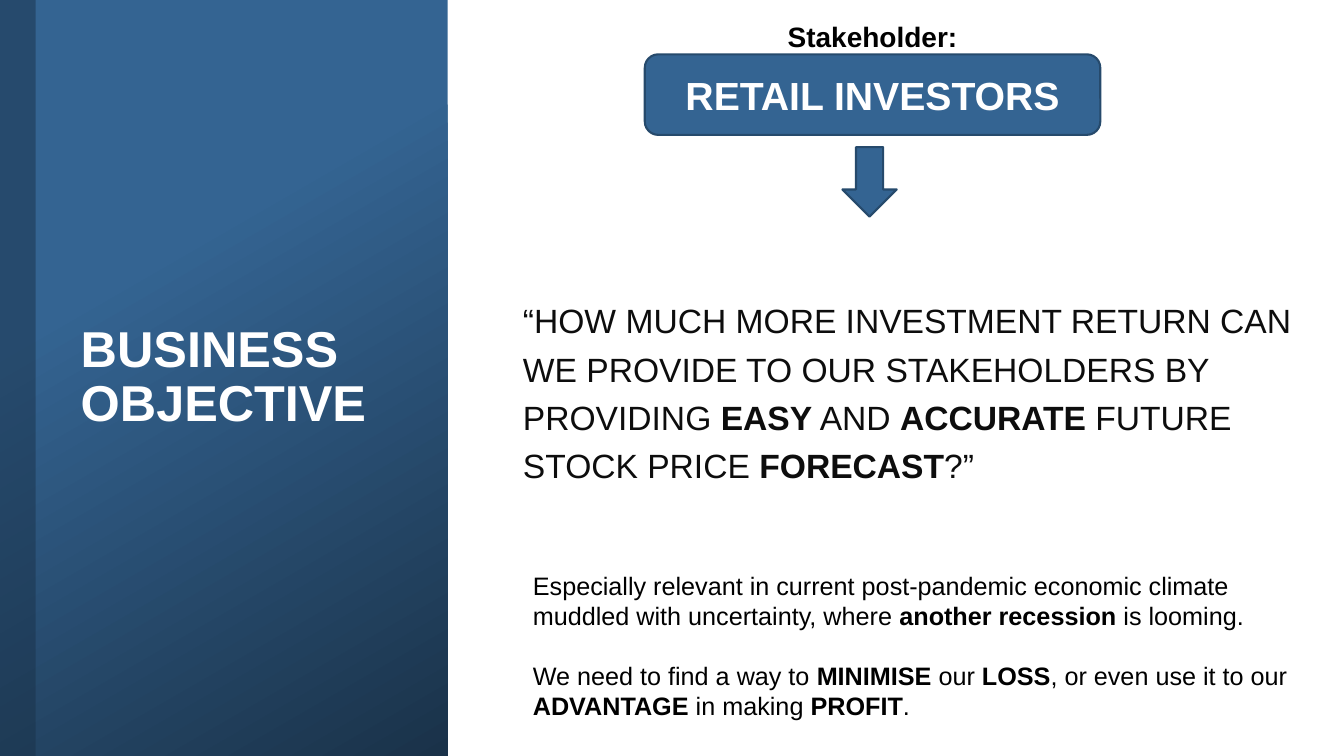
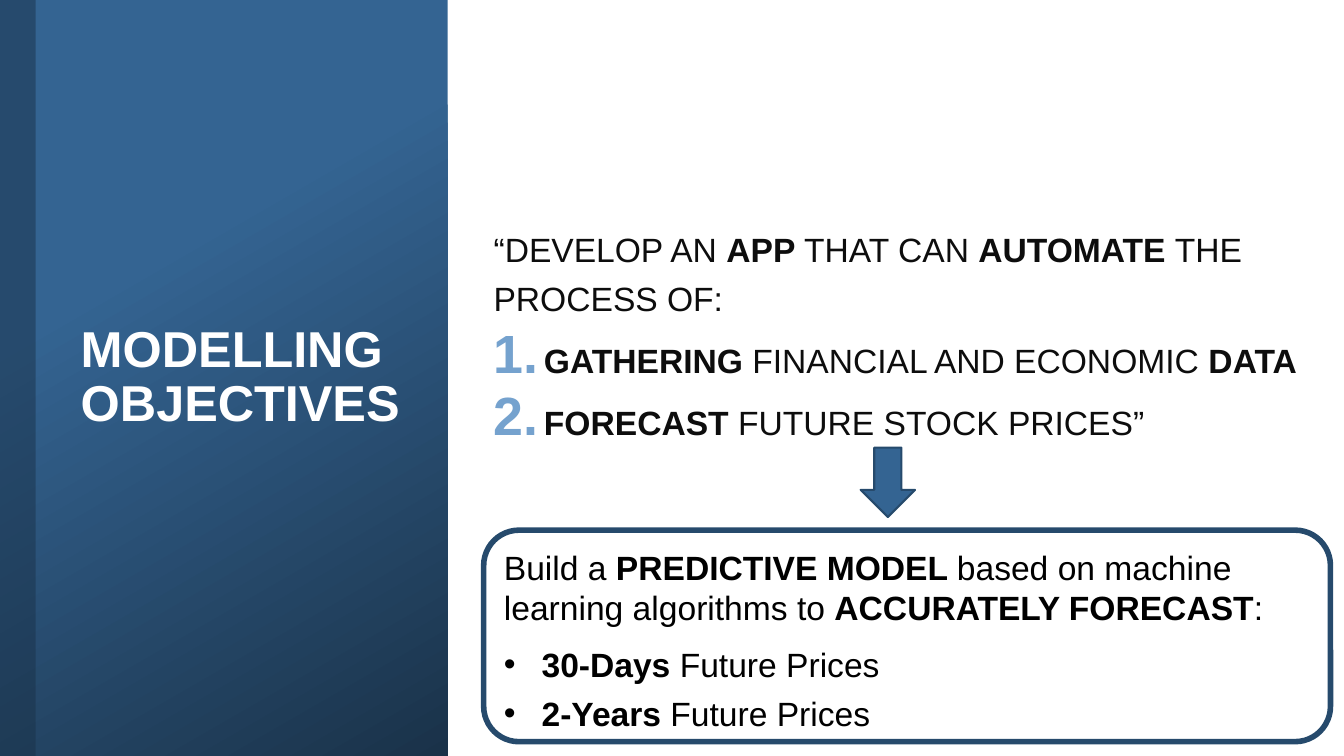
from collections import namedtuple

from lxml import etree
from pptx import Presentation
from pptx.dml import color
from pptx.enum import shapes, text
from pptx.oxml import ns
from pptx.util import Cm, Pt

Box = namedtuple("Box", "left top width height")

FONT = "Arial"
BLUE = "346492"
NAVY = "1A3249"
OUTLINE = "264A6C"
NUMBER_BLUE = "75A2CE"
WHITE = "FFFFFF"
BLACK = "000000"
QUOTE_INK = "0D0D0D"

PAGE = Box(0, 0, 33.87, 19.05)
PANEL = Box(0, 0, 11.28, PAGE.height)
ARROW_WIDTH, ARROW_HEIGHT = 1.37, 1.75


def rgb(value):
    return color.RGBColor.from_string(value)


def lengths(box):
    return [Cm(value) for value in box]


def add_child(parent, tag, **attributes):
    return etree.SubElement(parent, ns.qn(tag), attributes)


def add_preset(slide, kind, box, fill=None, line=None, line_width=1.5):
    shape = slide.shapes.add_shape(kind, *lengths(box))
    shape.shadow.inherit = False
    if fill:
        shape.fill.solid()
        shape.fill.fore_color.rgb = rgb(fill)
    else:
        shape.fill.background()
    if line:
        shape.line.color.rgb = rgb(line)
        shape.line.width = Pt(line_width)
    else:
        shape.line.fill.background()
    return shape


def add_text_box(slide, box, anchor=text.MSO_ANCHOR.TOP):
    frame = slide.shapes.add_textbox(*lengths(box)).text_frame
    frame.word_wrap = True
    frame.vertical_anchor = anchor
    return frame


def format_run(run, size, ink, bold):
    run.font.name = FONT
    run.font.size = Pt(size)
    run.font.bold = bold
    run.font.color.rgb = rgb(ink)


def write_paragraph(frame, content, size, ink, space_before=0, spacing=1.0,
                    align=text.PP_ALIGN.LEFT):
    paragraph = frame.paragraphs[0]
    if paragraph.runs:
        paragraph = frame.add_paragraph()
        paragraph.space_before = Pt(space_before)
    paragraph.alignment = align
    paragraph.line_spacing = spacing
    for index, part in enumerate(content.split("*")):
        if part:
            run = paragraph.add_run()
            run.text = part
            format_run(run, size, ink, bold=index % 2 == 1)
    return paragraph


def set_indent(paragraph, indent):
    properties = paragraph._p.get_or_add_pPr()
    properties.set("marL", str(Cm(indent)))
    properties.set("indent", str(-Cm(indent)))
    return properties


def add_number(paragraph):
    properties = set_indent(paragraph, 1.27)
    add_child(add_child(properties, "a:buClr"), "a:srgbClr", val=NUMBER_BLUE)
    add_child(properties, "a:buSzPct", val="160000")
    add_child(properties, "a:buFont", typeface="+mj-lt")
    add_child(properties, "a:buAutoNum", type="arabicPeriod")


def add_bullet(paragraph):
    properties = set_indent(paragraph, 0.95)
    add_child(properties, "a:buFont", typeface=FONT)
    add_child(properties, "a:buChar", char="•")


def add_title_panel(slide, box, title):
    panel = add_preset(slide, shapes.MSO_SHAPE.RECTANGLE, box)
    panel.fill.gradient()
    panel.fill.gradient_angle = 300
    for stop, position, shade in zip(panel.fill.gradient_stops, (0.34, 1), (BLUE, NAVY)):
        stop.position = position
        stop.color.rgb = rgb(shade)

    edge_box = Box(box.left, box.top, 0.9, box.height)
    edge = add_preset(slide, shapes.MSO_SHAPE.RECTANGLE, edge_box, NAVY)
    edge_color = edge.element.spPr.find(ns.qn("a:solidFill"))[0]
    add_child(edge_color, "a:alpha", val="50000")

    placeholder = slide.shapes.title
    placeholder.element.getparent().append(placeholder.element)
    title_box = Box(box.left + 1.78, box.top + 3.4, 8.84, box.height - 6.8)
    placeholder.left, placeholder.top, placeholder.width, placeholder.height = lengths(title_box)
    frame = placeholder.text_frame
    frame.text = title
    frame.word_wrap = True
    frame.auto_size = text.MSO_AUTO_SIZE.NONE
    frame.vertical_anchor = text.MSO_ANCHOR.MIDDLE
    paragraph = frame.paragraphs[0]
    paragraph.alignment = text.PP_ALIGN.LEFT
    paragraph.line_spacing = 0.9
    format_run(paragraph.runs[0], 36, WHITE, bold=True)


def add_down_arrow(slide, left, top):
    box = Box(left, top, ARROW_WIDTH, ARROW_HEIGHT)
    add_preset(slide, shapes.MSO_SHAPE.DOWN_ARROW, box, BLUE, OUTLINE)


def add_stakeholder(slide, box):
    label = add_text_box(slide, Box(box.left, box.top, box.width, 1.11))
    write_paragraph(label, "*Stakeholder:*", 20, BLACK, align=text.PP_ALIGN.CENTER)
    badge_box = Box(box.left, box.top + 1.01, box.width, box.height - 1.01)
    badge = add_preset(slide, shapes.MSO_SHAPE.ROUNDED_RECTANGLE, badge_box, BLUE, OUTLINE)
    badge.text_frame.vertical_anchor = text.MSO_ANCHOR.MIDDLE
    write_paragraph(badge.text_frame, "*RETAIL INVESTORS*", 28, WHITE,
                    align=text.PP_ALIGN.CENTER)


def add_quote(slide, box, lead, numbered=()):
    frame = add_text_box(slide, box, text.MSO_ANCHOR.MIDDLE)
    write_paragraph(frame, lead, 24, QUOTE_INK, spacing=1.2)
    for item in numbered:
        add_number(write_paragraph(frame, item, 24, QUOTE_INK, 10, 1.2))


def add_notes_text(slide, box, paragraphs):
    frame = add_text_box(slide, box)
    for content in paragraphs:
        write_paragraph(frame, content, 18, BLACK, space_before=21)


def add_model_box(slide, box, lead, bullets):
    shape = add_preset(slide, shapes.MSO_SHAPE.ROUNDED_RECTANGLE, box,
                       line=OUTLINE, line_width=4)
    frame = shape.text_frame
    frame.word_wrap = True
    frame.vertical_anchor = text.MSO_ANCHOR.MIDDLE
    frame.margin_top = Cm(0.33)
    write_paragraph(frame, lead, 24, BLACK)
    for index, bullet in enumerate(bullets):
        space_before = 6 if index else 12
        add_bullet(write_paragraph(frame, bullet, 24, BLACK, space_before))


def add_titled_slide(presentation, title):
    slide = presentation.slides.add_slide(presentation.slide_layouts[5])
    add_title_panel(slide, PANEL, title)
    return slide


def add_business_slide(presentation):
    slide = add_titled_slide(presentation, "BUSINESS OBJECTIVE")
    add_stakeholder(slide, Box(16.25, 0.36, 11.48, 3.04))
    add_down_arrow(slide, 21.23, 3.71)
    add_quote(
        slide, Box(12.93, 7.2, 20.04, 5.2),
        "“HOW MUCH MORE INVESTMENT RETURN CAN WE PROVIDE TO OUR STAKEHOLDERS BY "
        "PROVIDING *EASY* AND *ACCURATE *FUTURE STOCK PRICE *FORECAST*?”")
    add_notes_text(slide, Box(13.18, 14.25, 19.53, 4.11), [
        "Especially relevant in current post-pandemic economic climate muddled "
        "with uncertainty, where *another recession* is looming.",
        "We need to find a way to *MINIMISE* our *LOSS*, or even use it to our "
        "*ADVANTAGE* in making *PROFIT*.",
    ])


def add_modelling_slide(presentation):
    slide = add_titled_slide(presentation, "MODELLING OBJECTIVES")
    add_quote(
        slide, Box(12.19, 5.36, 21.34, 6),
        "“DEVELOP AN *APP *THAT CAN *AUTOMATE *THE PROCESS OF:",
        ["*GATHERING* FINANCIAL AND ECONOMIC *DATA*",
         "*FORECAST* FUTURE STOCK PRICES”"])
    add_model_box(
        slide, Box(12.19, 13.36, 21.34, 5.33),
        "Build a *PREDICTIVE MODEL *based on machine learning algorithms to "
        "*ACCURATELY FORECAST*:",
        ["*30-Days* Future Prices", "*2-Years* Future Prices"])
    add_down_arrow(slide, 21.69, 11.28)


def main():
    presentation = Presentation()
    presentation.slide_width = Cm(PAGE.width)
    presentation.slide_height = Cm(PAGE.height)
    add_business_slide(presentation)
    add_modelling_slide(presentation)
    presentation.save("out.pptx")


if __name__ == "__main__":
    main()
